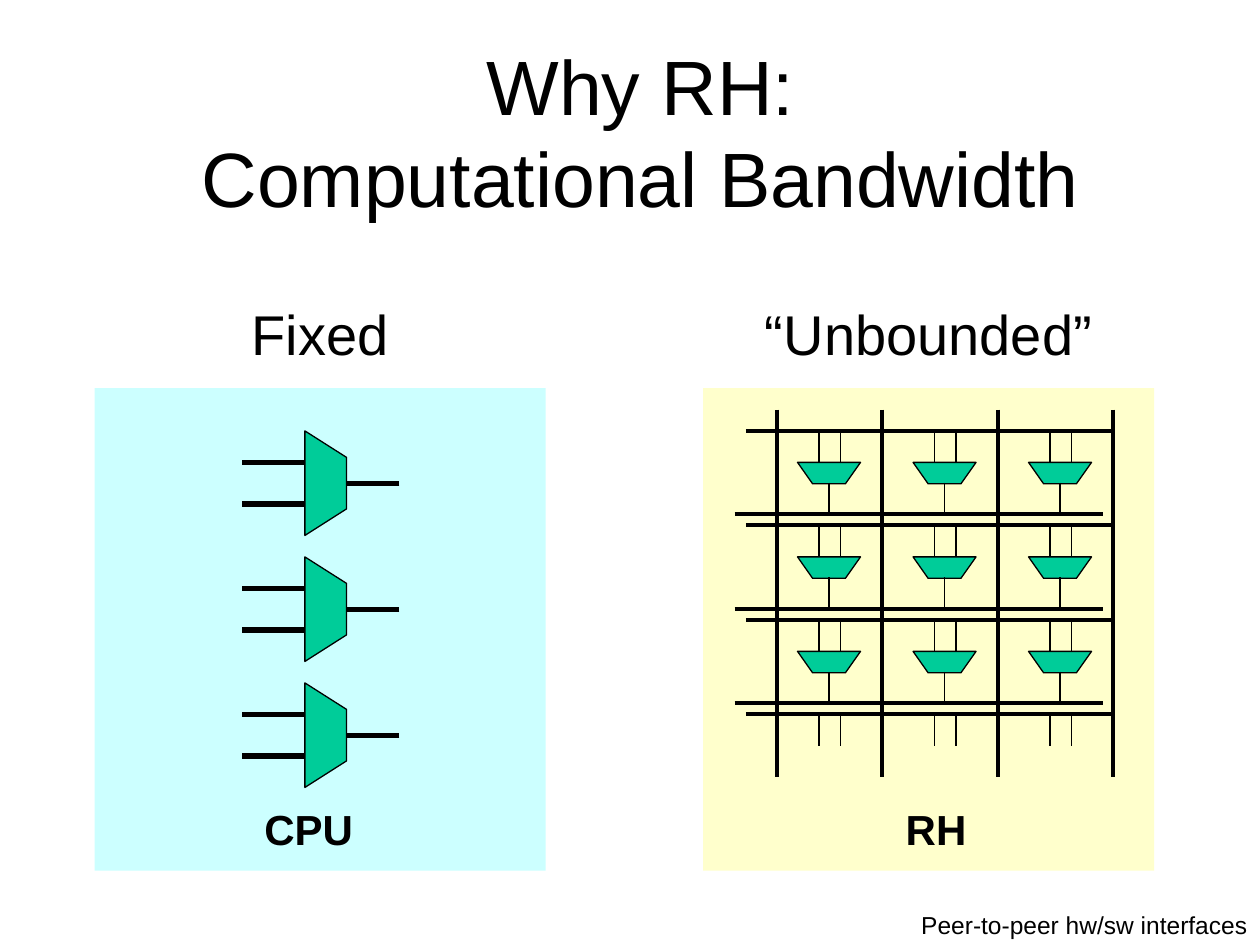
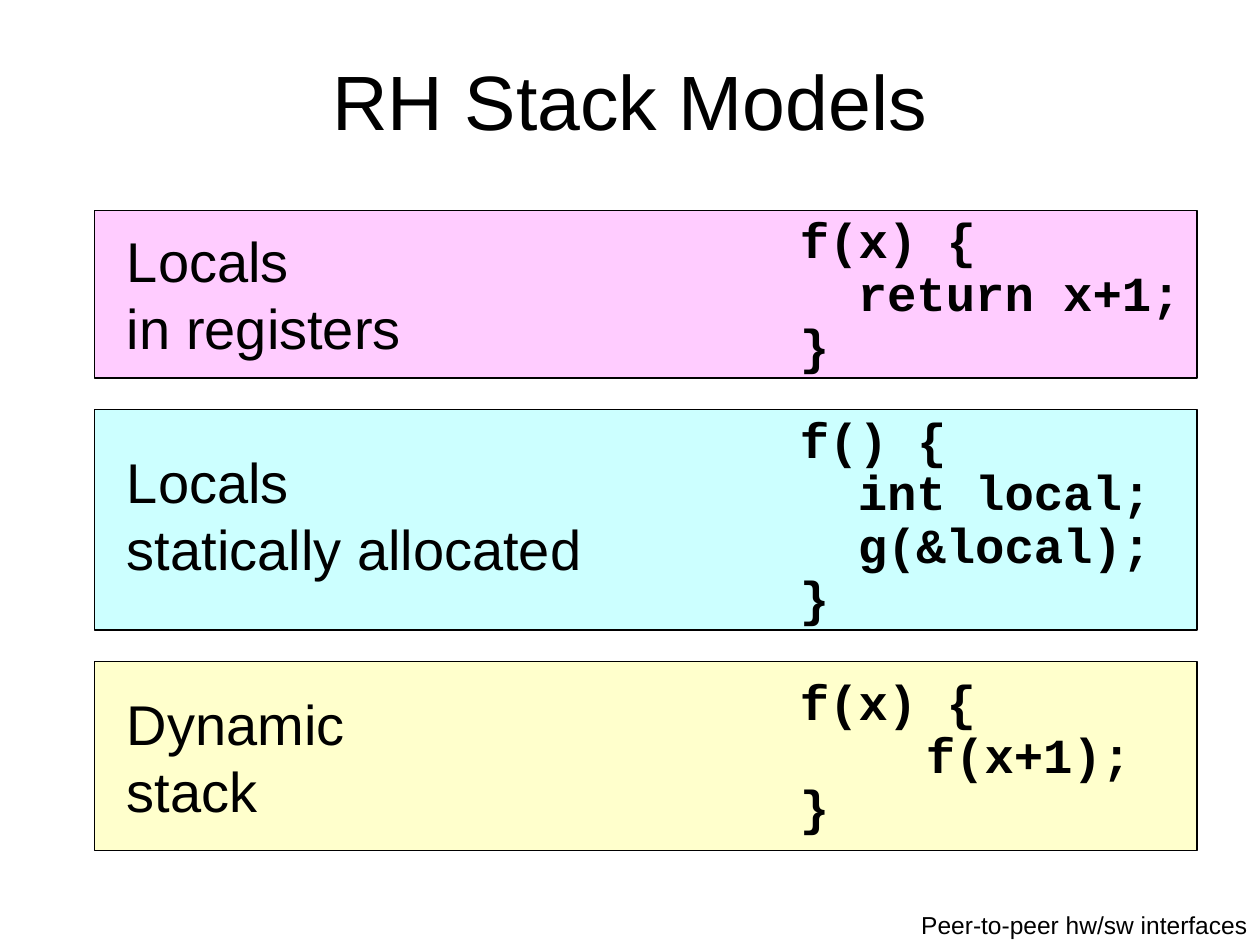
from dataclasses import dataclass
from itertools import product

from lxml import etree
from pptx import Presentation
from pptx.dml.color import RGBColor
from pptx.enum.shapes import MSO_CONNECTOR, MSO_SHAPE
from pptx.enum.text import MSO_ANCHOR, MSO_AUTO_SIZE, PP_ALIGN
from pptx.oxml.ns import qn
from pptx.util import Inches, Pt

LINE = MSO_CONNECTOR.STRAIGHT
RECT = MSO_SHAPE.RECTANGLE
CENTER, RIGHT = PP_ALIGN.CENTER, PP_ALIGN.RIGHT
TOP, MIDDLE = MSO_ANCHOR.TOP, MSO_ANCHOR.MIDDLE
FIXED = MSO_AUTO_SIZE.NONE


@dataclass(frozen=True)
class Theme:
    ink: str = "000000"
    cyan: str = "CCFFFF"
    cream: str = "FFFFCC"
    pink: str = "FFCCFF"
    green: str = "00CC99"
    sans: str = "Arial"
    mono: str = "Courier New"
    title: int = 44
    body: int = 32
    code: int = 28
    label: int = 24
    foot: int = 14
    thin: float = 0.75
    bus: float = 2.25
    wire: float = 3


THEME = Theme()
FOOTER = "Peer-to-peer hw/sw interfaces"


# Shared helpers
def apply(item, values):
    for name, value in values.items():
        setattr(item, name, value)


def color(code):
    return RGBColor.from_string(code)


def place(shape, box):
    names = ("left", "top", "width", "height")
    apply(shape, dict(zip(names, map(Inches, box))))


def indent_line(line, left):
    props = line._p.get_or_add_pPr()
    props.set("marL", str(Inches(left)))
    props.set("indent", "0")
    return props


def format_text(frame, size, font=THEME.sans, bold=False, para=None):
    look = {"name": font, "size": Pt(size), "bold": bold}
    for line in frame.paragraphs:
        apply(line, para or {})
        for run in line.runs:
            apply(run.font, look)
            run.font.color.rgb = color(THEME.ink)


# Text elements
def add_text(slide, text, box, size, **style):
    frame = slide.shapes.add_textbox(*map(Inches, box)).text_frame
    frame.text = text
    apply(frame, {"word_wrap": True, "auto_size": FIXED})
    format_text(frame, size, **style)
    return frame


def fill_holder(holder, text, box, size, anchor, before):
    place(holder, box)
    frame = holder.text_frame
    frame.text = text
    apply(frame, {"auto_size": FIXED, "vertical_anchor": anchor})
    format_text(frame, size,
                para={"alignment": CENTER, "space_before": Pt(before)})
    return frame


def add_body(slide, text, box):
    frame = fill_holder(slide.placeholders[1], text, box, THEME.body, TOP, 8)
    for line in frame.paragraphs:
        etree.SubElement(indent_line(line, 0), qn("a:buNone"))


def add_code(slide, lines, box, indent):
    frame = add_text(slide, "\n".join(lines), box, THEME.code,
                     font=THEME.mono, bold=True, para={"line_spacing": 0.9})
    for line in frame.paragraphs[1:-1]:
        indent_line(line, indent)


# Drawn elements
def paint(shape, fill, edge=True):
    shape.shadow.inherit = False
    shape.fill.solid()
    shape.fill.fore_color.rgb = color(fill)
    if edge:
        shape.line.color.rgb = color(THEME.ink)
        shape.line.width = Pt(THEME.thin)
    else:
        shape.line.fill.background()


def add_panel(slide, box, fill, edge=True):
    paint(slide.shapes.add_shape(RECT, *map(Inches, box)), fill, edge)


def add_line(slide, x1, y1, x2, y2, width):
    line = slide.shapes.add_connector(LINE, *map(Inches, (x1, y1, x2, y2)))
    line.line.color.rgb = color(THEME.ink)
    line.line.width = Pt(width)
    etree.SubElement(line._element.spPr, qn("a:effectLst"))


def add_unit(slide, x, y, points):
    dots = [(Inches(x + dx), Inches(y + dy)) for dx, dy in points]
    outline = slide.shapes.build_freeform(*dots[0])
    outline.add_line_segments(dots[1:], close=True)
    paint(outline.convert_to_shape(), THEME.green)


# Slide parts
def draw_cpu(slide):
    add_panel(slide, (0.75, 3.08, 3.58, 3.83), THEME.cyan, edge=False)
    points = [(0, 0.83), (0, 0), (0.33, 0.21), (0.33, 0.62)]
    for row in range(3):
        y = 3.42 + row
        add_unit(slide, 2.42, y, points)
        for drop in (0.25, 0.58):
            add_line(slide, 2.42, y + drop, 1.92, y + drop, THEME.wire)
        add_line(slide, 3.17, y + 0.42, 2.75, y + 0.42, THEME.wire)
    add_text(slide, "CPU", (2, 6.33, 1, 0.5), THEME.label, bold=True)


def draw_mesh(slide):
    add_panel(slide, (5.58, 3.08, 3.58, 3.83), THEME.cream, edge=False)
    add_text(slide, "“Unbounded”", (5.58, 2.33, 3.58, 0.65), THEME.body,
             para={"alignment": CENTER, "space_before": Pt(8)})
    points = [(0, 0), (0.5, 0), (0.38, 0.17), (0.12, 0.17)]
    cols = [6.33 + 11 / 12 * col for col in range(3)]
    rows = [3.42 + 0.75 * row for row in range(4)]

    # Units with their outputs, then the inputs below every bus
    for x, y in product(cols, rows[:3]):
        add_unit(slide, x, y + 0.25, points)
        add_line(slide, x + 0.25, y + 0.41, x + 0.25, y + 0.66, THEME.thin)
    for x, y, shift in product(cols, rows, (0.17, 0.34)):
        add_line(slide, x + shift, y, x + shift, y + 0.25, THEME.thin)

    # Buses
    for x in (6.17, 7, 7.92, 8.83):
        add_line(slide, x, 3.25, x, 6.17, THEME.bus)
    for y in rows:
        add_line(slide, 5.92, y, 8.83, y, THEME.bus)
    for y in rows[:3]:
        add_line(slide, 5.83, y + 0.66, 8.75, y + 0.66, THEME.bus)
    add_text(slide, "RH", (7.09, 6.33, 0.8, 0.5), THEME.label, bold=True)


def draw_model(slide, fill, top, height, name, spot, lines, code, indent):
    add_panel(slide, (0.75, top, 8.75, height), fill)
    add_text(slide, name, spot, THEME.body)
    add_code(slide, lines, code, indent)


def add_slide(deck, layout, title, box):
    slide = deck.slides.add_slide(deck.slide_layouts[layout])
    fill_holder(slide.shapes.title, title, box, THEME.title, MIDDLE, 0)
    add_text(slide, FOOTER, (6.25, 7.17, 3.75, 0.33), THEME.foot,
             para={"alignment": RIGHT})
    return slide


def main():
    deck = Presentation()
    apply(deck, {"slide_width": Inches(10), "slide_height": Inches(7.5)})

    # Bandwidth slide
    slide = add_slide(deck, 1, "Why RH:\vComputational Bandwidth",
                      (0.75, 0.33, 8.67, 1.42))
    add_body(slide, "Fixed", (0.75, 2.33, 3.58, 0.67))
    draw_cpu(slide)
    draw_mesh(slide)

    # Stack slide
    slide = add_slide(deck, 5, "RH Stack Models", (0.75, 0.42, 8.5, 0.75))
    models = [
        (THEME.pink, 1.67, 1.33,
         "Locals\vin registers", (0.91, 1.75, 2.6, 1.17),
         ["f(x) {", "return x+1;", "}"], (6.25, 1.67, 3.4, 1.36), 0.46),
        (THEME.cyan, 3.25, 1.75,
         "Locals\vstatically allocated", (0.91, 3.5, 4, 1.17),
         ["f() {", "int local;", "g(&local);", "}"],
         (6.25, 3.25, 3.2, 1.78), 0.46),
        (THEME.cream, 5.25, 1.5,
         "Dynamic\nstack", (0.91, 5.42, 2.1, 1.17),
         ["f(x) {", "f(x+1);", "}"], (6.25, 5.33, 3, 1.36), 1),
    ]
    for model in models:
        draw_model(slide, *model)

    deck.save("out.pptx")


if __name__ == "__main__":
    main()
